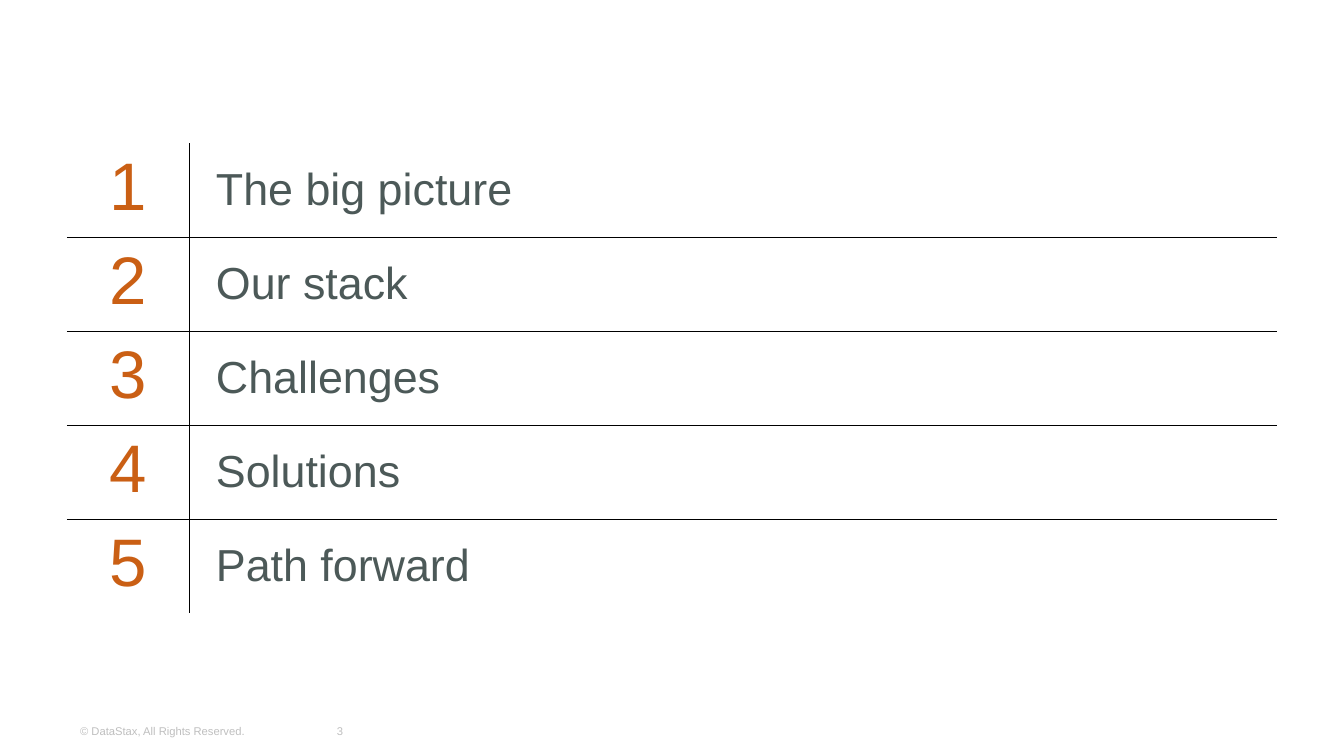
"""Build the agenda slide: five numbered topics in a ruled table."""
from lxml.etree import SubElement as Sub
from pptx import Presentation as Deck
from pptx.dml.color import RGBColor as Color
from pptx.enum.text import MSO_ANCHOR as Anchor, PP_ALIGN as Align
from pptx.oxml.ns import qn
from pptx.util import Emu, Pt

SCALE = 914400 / 134.4
TOPICS = ["The big picture", "Our stack", "Challenges", "Solutions", "Path forward"]
RUST, SLATE, GREY, BLACK = "CA5F14", "4C5958", "BFBFBF", "000000"


def px(num):
    return Emu(round(num * SCALE))


def tint(code):
    return Color.from_string(code)


def put(item, vals):
    for key, val in vals.items():
        setattr(item, key, val)


class Page:
    def __init__(self, slide, font):
        self.slide = slide
        self.font = font

    def words(self, frame, text, size, color, align):
        para = frame.paragraphs[0]
        para.alignment = align
        run = para.add_run()
        run.text = text
        put(run.font, {"name": self.font, "size": Pt(size), "bold": False})
        run.font.color.rgb = tint(color)

    def label(self, box, text, size, color, align=Align.LEFT):
        frame = self.slide.shapes.add_textbox(*map(px, box)).text_frame
        put(frame, {"word_wrap": True, "vertical_anchor": Anchor.MIDDLE})
        self.words(frame, text, size, color, align)

    def rule(self, cell, side, shown):
        line = Sub(cell._tc.get_or_add_tcPr(), qn("a:ln" + side), w=str(Pt(0.25)))
        if shown:
            fill = Sub(line, qn("a:solidFill"))
            Sub(fill, qn("a:srgbClr"), val=BLACK)
        else:
            Sub(line, qn("a:noFill"))

    def table(self, left, top, cols, high, topics):
        count = len(topics)
        box = map(px, (left, top, sum(cols), high * count))
        grid = self.slide.shapes.add_table(count, len(cols), *box).table
        put(grid, {"first_row": False, "horz_banding": False})
        for col, wide in zip(grid.columns, cols):
            col.width = px(wide)
        for row, topic in enumerate(topics):
            grid.rows[row].height = px(high)
            num, name = grid.cell(row, 0), grid.cell(row, 1)
            self.words(num.text_frame, str(row + 1), 36, RUST, Align.CENTER)
            self.words(name.text_frame, topic, 24, SLATE, Align.LEFT)
            put(name, {"vertical_anchor": Anchor.MIDDLE, "margin_left": px(27)})
            for cell, inner in ((num, "R"), (name, "L")):
                for side in "LR":
                    self.rule(cell, side, side == inner)
                self.rule(cell, "T", row > 0)
                self.rule(cell, "B", row < count - 1)
                cell.fill.background()


def main():
    deck = Deck()
    put(deck, {"slide_width": px(1344), "slide_height": px(756)})
    page = Page(deck.slides.add_slide(deck.slide_layouts[6]), "Arial")
    page.table(67, 143, (122, 1088), 94, TOPICS)
    page.label((310, 711, 60, 40), "3", 6, GREY, Align.CENTER)
    page.label((67, 711, 234, 40), "© DataStax, All Rights Reserved.", 6, GREY)
    deck.save("out.pptx")


if __name__ == "__main__":
    main()
